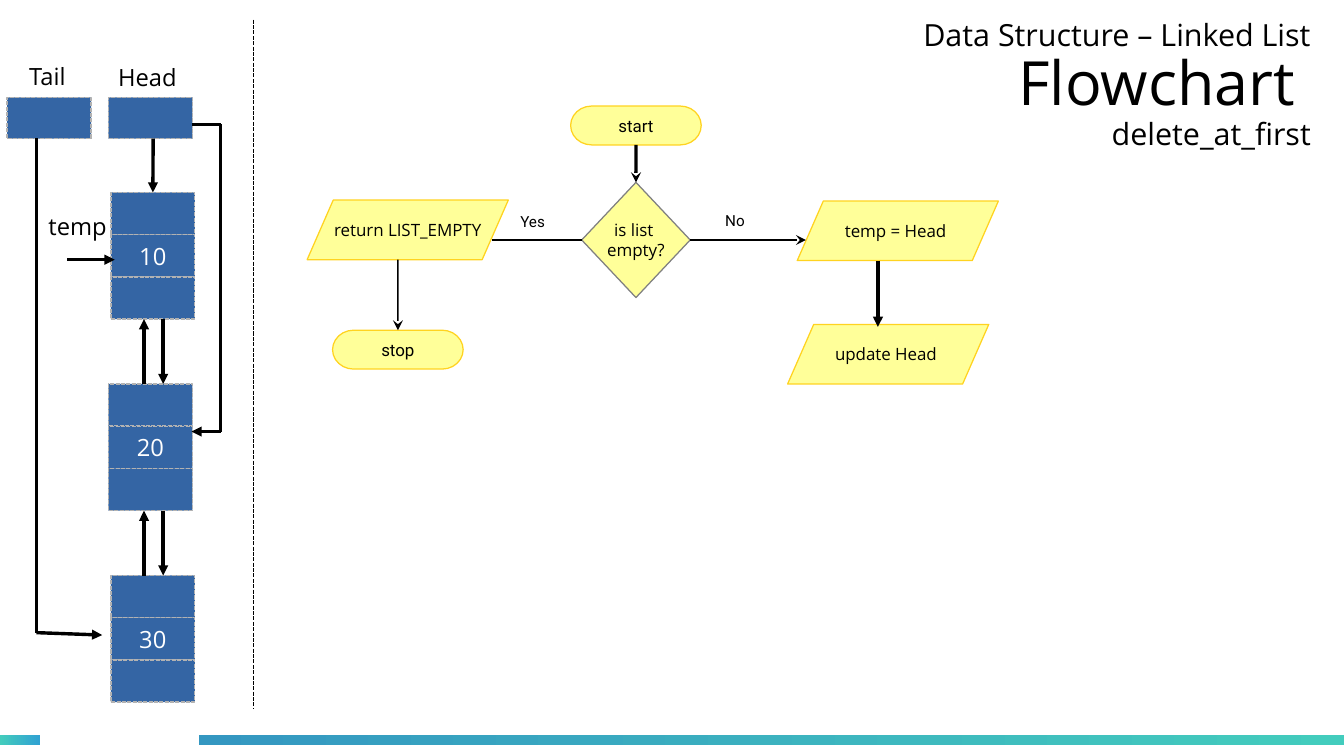
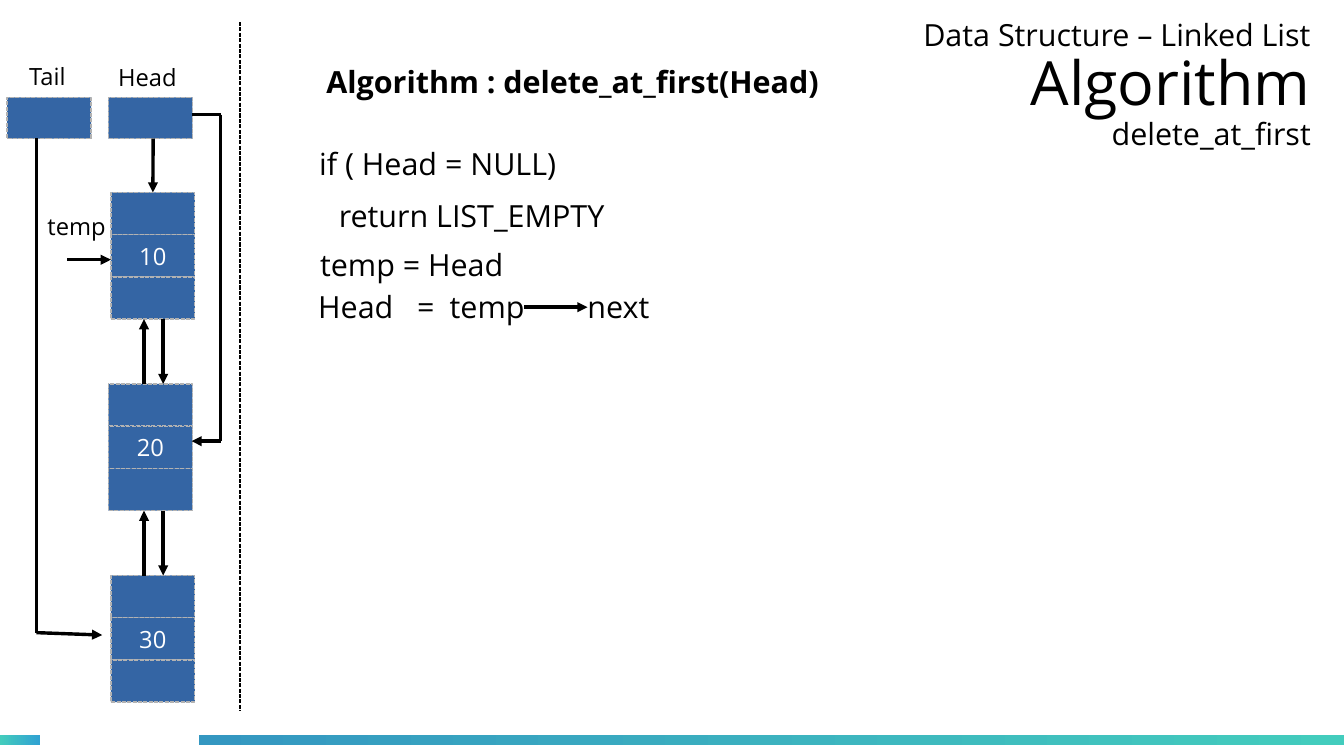
from dataclasses import dataclass

from pptx import Presentation
from pptx.dml.color import RGBColor
from pptx.enum import dml, shapes, text
from pptx.oxml import ns, xmlchemy
from pptx.util import Cm, Pt


@dataclass(frozen=True)
class Theme:
    font: str = "Open Sans"
    flow_font: str = "Roboto"
    ink: str = "000000"
    paper: str = "FFFFFF"
    node: str = "3465A4"
    node_edge: str = "B2B2B2"
    step: str = "FFFF99"
    step_edge: str = "FFD320"
    choice_edge: str = "808080"
    teal: str = "43CCBD"
    sky: str = "30A2D2"
    blue: str = "3497C1"
    title: int = 36
    body: int = 18
    label: int = 14
    flow: int = 10
    branch: int = 9
    hairline: float = 0
    thin: float = 0.79


T = Theme()
KIND = shapes.MSO_SHAPE
DASH = dml.MSO_LINE
CELL_W, CELL_H = 1.75, 0.88
NODE_TOP, NODE_STEP = 4.01, 3.99
NODES = (("10", 2.31), ("20", 2.26), ("30", 2.31))


def rgb(value):
    return RGBColor.from_string(value)


def write(tf, content, size, color=T.ink, font=T.font, bold=False, align=None):
    tf.text = content
    for p in tf.paragraphs:
        p.alignment = align
        for r in p.runs:
            r.font.size = Pt(size)
            r.font.name = font
            r.font.bold = bold
            r.font.color.rgb = rgb(color)


def add_label(s, content, x, y, w, h=0.91, size=T.label, wrap=False, **style):
    tf = s.shapes.add_textbox(Cm(x), Cm(y), Cm(w), Cm(h)).text_frame
    tf.word_wrap = wrap
    write(tf, content, size, **style)
    return tf


def add_block(parent, kind, x, y, w, h, fill, edge, width=T.hairline):
    sp = parent.shapes.add_shape(kind, Cm(x), Cm(y), Cm(w), Cm(h))
    sp.shadow.inherit = False
    sp.fill.solid()
    sp.fill.fore_color.rgb = rgb(fill)
    sp.line.color.rgb = rgb(edge)
    sp.line.width = Pt(width)
    return sp


def fill_text(sp, content, size, **style):
    tf = sp.text_frame
    tf.word_wrap = False
    tf.vertical_anchor = text.MSO_ANCHOR.MIDDLE
    tf.margin_top = tf.margin_bottom = 0
    write(tf, content, size, align=text.PP_ALIGN.CENTER, **style)


def add_cell(parent, x, y, h=CELL_H, content=None):
    sp = add_block(parent, KIND.RECTANGLE, x, y, CELL_W, h,
                   T.node, T.node_edge, T.thin)
    sp.line.dash_style = DASH.SQUARE_DOT
    if content:
        fill_text(sp, content, T.label, color=T.paper)
    return sp


def add_step(s, kind, content, x, y, w, h, edge=T.step_edge, font=T.font):
    sp = add_block(s, kind, x, y, w, h, T.step, edge)
    fill_text(sp, content, T.flow, font=font)
    return sp


def add_terminator(s, content, x, y):
    return add_step(s, KIND.FLOWCHART_TERMINATOR, content, x, y, 2.72, 0.81,
                    font=T.flow_font)


def add_action(s, content, x, y):
    sp = add_step(s, KIND.PARALLELOGRAM, content, x, y, 4.19, 1.24)
    sp.adjustments[0] = 0.438
    return sp


def add_line(s, start, end, head=None, width=T.hairline, dash=None):
    c = s.shapes.add_connector(shapes.MSO_CONNECTOR.STRAIGHT,
                               *(Cm(v) for v in (*start, *end)))
    c.line.color.rgb = rgb(T.ink)
    c.line.width = Pt(width)
    if dash:
        c.line.dash_style = dash
    props = c._element.spPr
    if head:
        tail = xmlchemy.OxmlElement("a:tailEnd")
        tail.set("type", head)
        props.find(ns.qn("a:ln")).append(tail)
    props.append(xmlchemy.OxmlElement("a:effectLst"))
    return c


def add_route(s, *points):
    last = len(points) - 2
    for i, ends in enumerate(zip(points, points[1:])):
        add_line(s, *ends, head="triangle" if i == last else None)


def add_band(s, x, w, colors):
    sp = s.shapes.add_shape(KIND.RECTANGLE, Cm(x), Cm(15.32), Cm(w), Cm(0.2))
    sp.shadow.inherit = False
    sp.line.fill.background()
    sp.fill.gradient()
    sp.fill.gradient_angle = 0
    for stop, color in zip(sp.fill.gradient_stops, colors):
        stop.color.rgb = rgb(color)


def add_title(s, topic):
    lines = ("Data Structure – Linked List", topic, "delete_at_first")
    tf = add_label(s, "\n".join(lines), 18.52, -0.05, 8.79, 3.68, T.body,
                   wrap=True, align=text.PP_ALIGN.RIGHT)
    tf.margin_left = tf.margin_right = tf.margin_top = tf.margin_bottom = 0
    tf.vertical_anchor = text.MSO_ANCHOR.MIDDLE
    for p in tf.paragraphs:
        p.line_spacing = 0.9
    for r in tf.paragraphs[1].runs:
        r.font.size = Pt(T.title)


def add_list_diagram(s, temp_x, temp_tip, relink):
    add_label(s, "Tail", 0.36, 1.17, 1.63)
    add_label(s, "Head", 2.21, 1.19, 1.88)
    for x in (0.15, 2.26):
        add_cell(s, x, 2.03, 0.86)

    tops = [NODE_TOP + i * NODE_STEP for i in range(len(NODES))]
    firsts = []
    for (value, x), top in zip(NODES, tops):
        group = s.shapes.add_group_shape()
        cells = [add_cell(group, x, top + row * CELL_H, content=content)
                 for row, content in enumerate((None, value, None))]
        firsts.append(cells[0])

    for top, below in zip(tops, tops[1:]):
        bottom = top + 3 * CELL_H
        add_route(s, (3.4, bottom), (3.4, below))
        add_route(s, (3, below), (3, bottom))

    head = add_line(s, (3.19, 2.89), (3.19, NODE_TOP), "triangle")
    head.end_connect(firsts[0], 0)
    add_route(s, (0.76, 2.87), (0.76, 13.18), (2.13, 13.23))
    start, end = relink
    add_route(s, (3.99, start), (4.6, start), (4.6, end), (3.99, end))
    add_label(s, "temp", temp_x, 4.29, 1.88)
    add_route(s, (1.4, 5.41), (temp_tip, 5.41))


def add_base(prs, topic, divider_x, divider_top, **diagram):
    s = prs.slides.add_slide(prs.slide_layouts[6])
    add_band(s, 0, 0.83, (T.teal, T.sky))
    add_band(s, 4.14, 23.86, (T.blue, T.teal))
    add_title(s, topic)
    add_line(s, (divider_x, divider_top), (divider_x, divider_top + 14.35),
             width=T.thin, dash=DASH.SQUARE_DOT)
    add_list_diagram(s, **diagram)
    return s


def add_flowchart(s):
    start = add_terminator(s, "start", 11.89, 2.21)
    choice = add_step(s, KIND.DIAMOND, "is list \nempty?", 12.12, 3.8, 2.26, 2.4,
                      edge=T.choice_edge)
    add_action(s, "return LIST_EMPTY", 6.4, 4.17)
    stop = add_terminator(s, "stop", 6.93, 6.88)
    add_action(s, "temp = Head ", 16.61, 4.19)
    add_action(s, "update Head ", 16.41, 6.76)

    entry = add_line(s, (13.25, 3.02), (13.25, 3.8), "stealth")
    entry.begin_connect(start, 2)
    entry.end_connect(choice, 0)
    yes = add_line(s, (12.12, 5), (10.24, 5), width=T.thin)
    yes.begin_connect(choice, 1)
    no = add_line(s, (14.38, 5), (16.79, 5), "stealth", T.thin)
    no.begin_connect(choice, 3)
    leave = add_line(s, (8.29, 5.41), (8.29, 6.88), "stealth", T.thin)
    leave.end_connect(stop, 0)
    add_route(s, (18.29, 5.43), (18.29, 6.81))

    add_label(s, "Yes", 10.59, 4.29, 1.55, size=T.branch, font=T.flow_font)
    add_label(s, "No", 14.86, 4.27, 1.2, size=T.branch, font=T.flow_font)


def add_tabs(p, stops):
    tabs = xmlchemy.OxmlElement("a:tabLst")
    for stop in stops:
        tab = xmlchemy.OxmlElement("a:tab")
        tab.set("pos", str(int(Cm(stop))))
        tab.set("algn", "l")
        tabs.append(tab)
    p._p.get_or_add_pPr().append(tabs)


def add_algorithm(s):
    add_label(s, "Algorithm : delete_at_first(Head)", 6.55, 1.19, 13.06,
              size=T.body, wrap=True, bold=True)
    code = (("if ( Head = NULL)", 6.4, 2.9),
            ("return LIST_EMPTY", 6.81, 3.99),
            ("temp = Head", 6.42, 5))
    for content, x, y in code:
        add_label(s, content, x, y, 7.8, 1.12, T.body, wrap=True)
    update = add_label(s, "Head\t=\ttemp\tnext", 6.38, 5.87, 9.63, 1.12, T.body,
                       wrap=True)
    add_tabs(update.paragraphs[0], (2.06, 2.74, 5.61))
    add_route(s, (10.92, 6.4), (12.24, 6.4))


def main():
    prs = Presentation()
    prs.slide_width, prs.slide_height = Cm(28), Cm(15.75)
    add_flowchart(add_base(prs, "Flowchart ", 5.28, 0.41, temp_x=0.76,
                           temp_tip=2.39, relink=(2.59, 8.99)))
    add_algorithm(add_base(prs, "Algorithm", 5, 0.46, temp_x=0.74,
                           temp_tip=2.31, relink=(2.39, 9.19)))
    prs.save("out.pptx")


if __name__ == "__main__":
    main()
